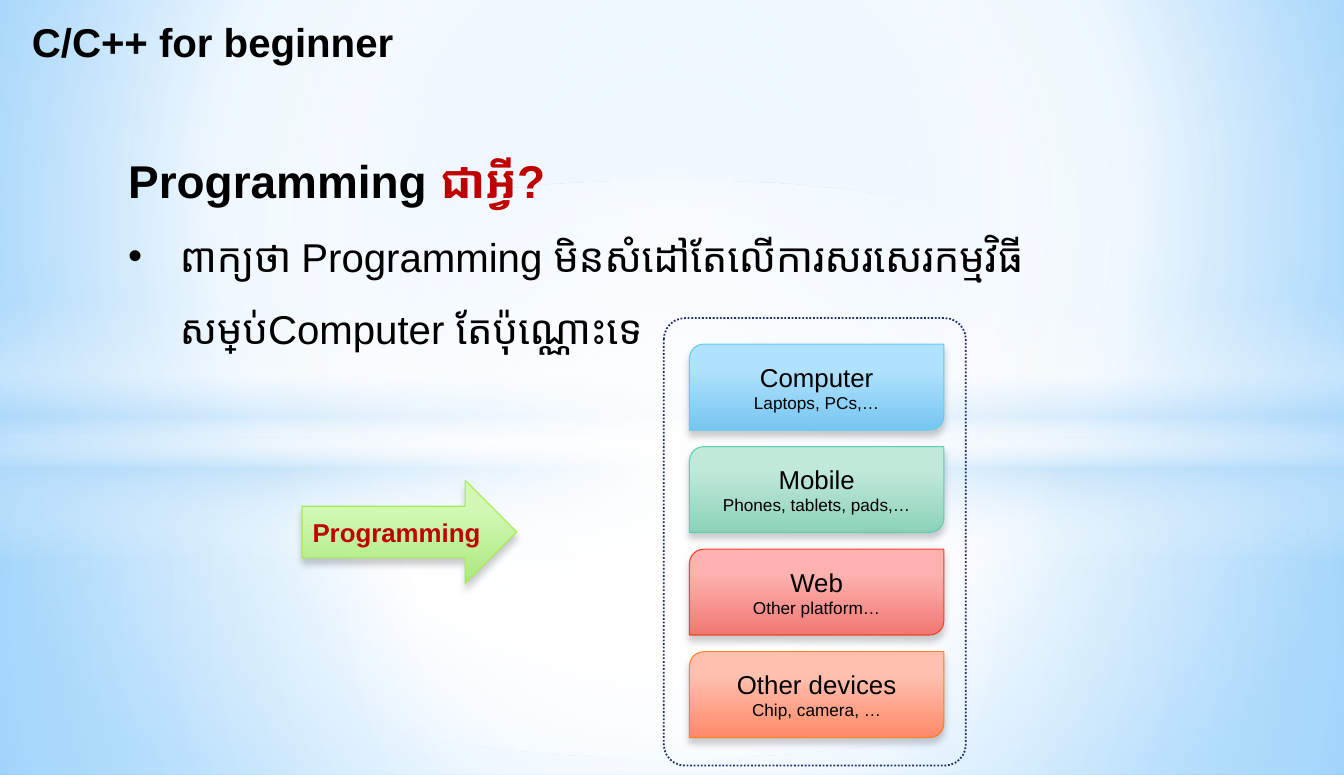
from dataclasses import dataclass
from lxml.etree import SubElement as Sub
from pptx import Presentation
from pptx.dml.color import RGBColor as Rgb
from pptx.enum.dml import MSO_LINE
from pptx.enum.shapes import MSO_SHAPE as Kind
from pptx.enum.text import MSO_ANCHOR as Anchor, PP_ALIGN as Align
from pptx.oxml.ns import qn
from pptx.util import Cm, Pt


@dataclass(frozen=True)
class Theme:
    font: str = "Arial"
    ink: str = "000000"
    red: str = "C00000"
    navy: str = "1F2E69"
    white: str = "FFFFFF"
    pale: str = "B4DCFA"
    sky: str = "9ED5FF"
    blue: str = "5BB9FF"
    head: int = 32
    body: int = 28
    label: int = 18
    note: int = 12


T = Theme()
WIDE, HIGH = 33.02, 19.05
MID = (50, 50, 50, 50)

# heading, note, gradient top, gradient bottom, outline
CARDS = [
    ("Computer", "Laptops, PCs,…", "B1E2FD", "76C6F1", "5ECCF3"),
    ("Mobile", "Phones, tablets, pads,…", "C0E9DA", "8CD1B8", "5DCEAF"),
    ("Web", "Other platform…", "FDB2AF", "F07873", "F14124"),
    ("Other devices", "Chip, camera, …", "FFC0AF", "FF8968", "FF8021"),
]


def tint(node, color, alpha):
    clr = Sub(node, qn("a:srgbClr"), val=color)
    if alpha < 100:
        Sub(clr, qn("a:alpha"), val=str(alpha * 1000))


def blend(fill, host, stops, focus=None):
    """Fill with (position, colour, opacity) stops: round a focus, or downwards."""
    fill.gradient()
    grad = next(host.iter(qn("a:gradFill")))
    for part in list(grad):
        grad.remove(part)
    items = Sub(grad, qn("a:gsLst"))
    for pos, color, alpha in stops:
        tint(Sub(items, qn("a:gs"), pos=str(pos * 1000)), color, alpha)
    if focus:
        way = Sub(grad, qn("a:path"), {"path": "circle"})
        edges = {k: str(v * 1000) for k, v in zip("ltrb", focus)}
        Sub(way, qn("a:fillToRect"), edges)
    else:
        Sub(grad, qn("a:lin"), ang="5400000", scaled="0")


def shade(shape):
    """Soft shadow just below the shape."""
    glow = shape.element.spPr.find(qn("a:effectLst"))
    drop = Sub(glow, qn("a:outerShdw"), blurRad=str(Pt(5)), dist=str(Pt(4)),
               dir="5400000", algn="ctr", rotWithShape="0")
    tint(drop, T.ink, 20)


def add_form(shapes, kind, box):
    shape = shapes.add_shape(kind, *map(Cm, box))
    shape.shadow.inherit = False
    return shape


def add_run(para, text, size, color=T.ink, bold=False):
    run = para.add_run()
    run.text = text
    font = run.font
    font.name, font.size, font.bold = T.font, Pt(size), bold
    font.color.rgb = Rgb.from_string(color)


def add_veil(slide, kind, box, stops, focus=None):
    """Borderless, partly clear layer of the backdrop."""
    veil = add_form(slide.shapes, kind, box)
    veil.line.fill.background()
    blend(veil.fill, veil.element, stops, focus)


def add_back(slide):
    blend(slide.background.fill, slide.element,
          [(0, T.sky, 100), (60, T.white, 100), (100, T.blue, 100)],
          (20, 10, 20, 60))
    split = 10.74
    add_veil(slide, Kind.RECTANGLE, (0, split, WIDE, HIGH - split),
             [(0, T.white, 91), (37, T.white, 76), (100, T.pale, 79)], MID)
    add_veil(slide, Kind.RECTANGLE, (0, 0, WIDE, split),
             [(0, T.white, 89), (48, T.white, 62), (100, T.pale, 79)], MID)
    add_veil(slide, Kind.RECTANGLE, (0, 7.37, WIDE, 6.35),
             [(0, T.white, 0), (29, T.white, 30), (45, T.pale, 40),
              (55, T.white, 26), (65, T.pale, 60), (100, T.white, 0)])
    add_veil(slide, Kind.OVAL, (0, 4.45, WIDE, 14.17),
             [(0, T.white, 100), (54, T.white, 0)], MID)


def set_title(slide):
    title = slide.shapes.title
    title.left, title.top, title.width, title.height = map(
        Cm, (0.53, 0.3, 10.49, 1.45))
    frame = title.text_frame
    frame.word_wrap = False
    frame.vertical_anchor = Anchor.TOP
    para = frame.paragraphs[0]
    para.alignment = Align.LEFT
    add_run(para, "C/C++ for beginner", T.body, bold=True)
    slide.shapes.element.append(title.element)  # in front of the backdrop


def add_body(slide):
    box = slide.shapes.add_textbox(*map(Cm, (2.9, 2.95, 27.31, 5.89)))
    frame = box.text_frame
    frame.word_wrap = True
    head, item = frame.paragraphs[0], frame.add_paragraph()
    head.line_spacing = item.line_spacing = 1.5
    add_run(head, "Programming ", T.head, bold=True)
    add_run(head, "ជាអ្វី?", T.head, T.red, True)
    props = item._p.get_or_add_pPr()
    props.set("marL", str(Cm(1.27)))
    props.set("indent", str(-Cm(1.27)))
    Sub(props, qn("a:buFont"), typeface=T.font)
    Sub(props, qn("a:buChar"), char="•")
    add_run(item, "ពាក្យថា Programming មិនសំដៅតែលើការសរសេរកម្មវិធី "
                  "សម្រាប់Computer តែប៉ុណ្ណោះទេ", T.body)


def add_block(shapes, kind, box, top, low, edge, lines):
    """Glossy shape with one centred paragraph for each of the lines."""
    block = add_form(shapes, kind, box)
    blend(block.fill, block.element, [(28, top, 100), (100, low, 100)])
    block.line.color.rgb = Rgb.from_string(edge)
    block.line.width = Pt(0.75)
    shade(block)
    frame = block.text_frame
    frame.word_wrap = False
    frame.vertical_anchor = Anchor.MIDDLE
    for i, line in enumerate(lines):
        para = frame.add_paragraph() if i else frame.paragraphs[0]
        para.alignment = Align.CENTER
        add_run(para, *line)


def add_cards(shapes):
    for i, (name, note, top, low, edge) in enumerate(CARDS):
        add_block(shapes, Kind.ROUND_2_DIAG_RECTANGLE,
                  (16.94, 8.46 + i * 2.52, 6.25, 2.11), top, low, edge,
                  [(name, T.label), (note, T.note)])


def add_frame(slide):
    frame = add_form(slide.shapes, Kind.ROUNDED_RECTANGLE,
                     (16.31, 7.82, 7.42, 11))
    frame.adjustments[0] = 0.07
    frame.fill.background()
    frame.line.color.rgb = Rgb.from_string(T.navy)
    frame.line.width = Pt(1.25)
    frame.line.dash_style = MSO_LINE.ROUND_DOT


def main():
    deck = Presentation()
    deck.slide_width, deck.slide_height = Cm(WIDE), Cm(HIGH)
    slide = deck.slides.add_slide(deck.slide_layouts[5])
    add_back(slide)
    add_body(slide)
    set_title(slide)
    group = slide.shapes.add_group_shape()
    add_cards(group.shapes)
    add_block(group.shapes, Kind.RIGHT_ARROW, (7.42, 11.81, 5.28, 2.54),
              "D1F8B5", "AAE87B", "A7EA52",
              [("Programming", T.label, T.red, True)])
    add_frame(slide)
    deck.save("out.pptx")


if __name__ == "__main__":
    main()
